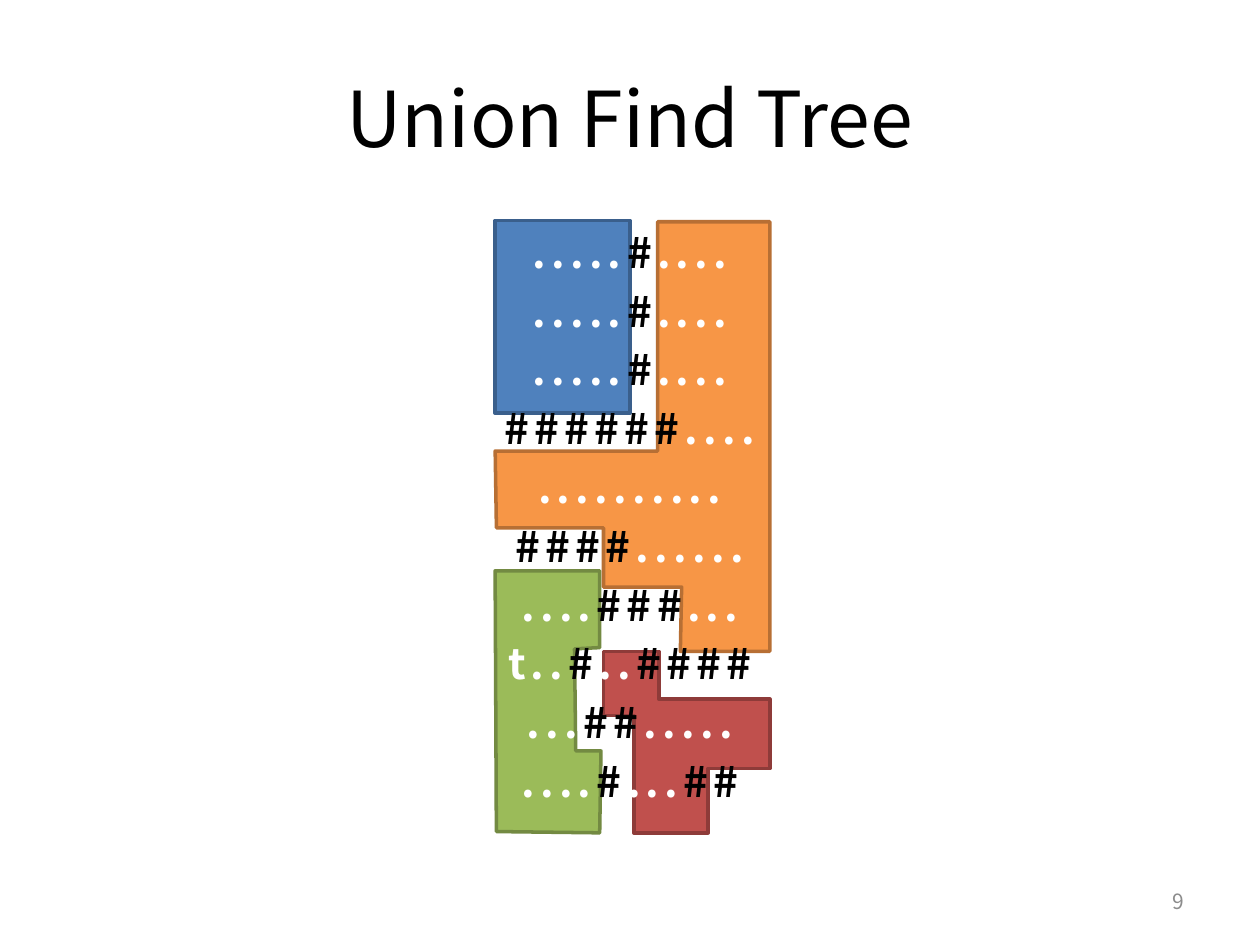
from itertools import groupby

from pptx import Presentation
from pptx.dml.color import RGBColor
from pptx.enum.shapes import MSO_SHAPE as Shape
from pptx.enum.text import MSO_ANCHOR as Anchor, PP_ALIGN as Align
from pptx.util import Inches, Pt

# Content
TITLE = "Union Find Tree"
PAGE_NUMBER = "9"
MAZE_ROWS = [
    ".....#....",
    ".....#....",
    ".....#....",
    "######....",
    "..........",
    "####......",
    "....###...",
    "t..#..####",
    "...##.....",
    "....#...##",
]

FONT = "Noto Sans CJK JP"
BLACK = RGBColor(0x00, 0x00, 0x00)
WHITE = RGBColor(0xFF, 0xFF, 0xFF)
GRAY = RGBColor(0x8C, 0x8C, 0x8C)
GREEN, DARK_GREEN = RGBColor(0x9B, 0xBB, 0x59), RGBColor(0x73, 0x8A, 0x42)
RED, DARK_RED = RGBColor(0xC0, 0x50, 0x4D), RGBColor(0x8E, 0x3B, 0x39)
BLUE, DARK_BLUE = RGBColor(0x4F, 0x81, 0xBD), RGBColor(0x3A, 0x5F, 0x8C)
ORANGE, DARK_ORANGE = RGBColor(0xF7, 0x96, 0x46), RGBColor(0xB7, 0x6F, 0x34)

# Connected regions in inches: corners of the outlines, box of the rectangle
GREEN_CORNERS = [
    (4.76, 5.14), (4.76, 4.53), (3.93, 4.53), (3.94, 6.6), (4.76, 6.61),
    (4.77, 5.96), (4.57, 5.96), (4.56, 5.15)]
RED_CORNERS = [
    (4.79, 5.17), (5.23, 5.17), (5.23, 5.55), (6.11, 5.55), (6.11, 6.1),
    (5.62, 6.1), (5.62, 6.61), (5.03, 6.61), (5.03, 5.68), (4.79, 5.68)]
BLUE_BOX = (3.93, 1.75, 1.07, 1.53)
ORANGE_CORNERS = [
    (3.93, 3.58), (5.22, 3.58), (5.22, 1.76), (6.11, 1.76), (6.11, 5.17),
    (5.4, 5.17), (5.41, 4.66), (4.79, 4.66), (4.79, 4.19), (3.94, 4.19)]


def add_outline(slide, corners):
    points = [(Inches(x), Inches(y)) for x, y in corners]
    builder = slide.shapes.build_freeform(*points[0])
    builder.add_line_segments(points[1:], close=True)
    return builder.convert_to_shape()


def paint(shape, fill, line):
    shape.shadow.inherit = False
    shape.fill.solid()
    shape.fill.fore_color.rgb = fill
    shape.line.color.rgb = line
    shape.line.width = Pt(2)


def add_text_frame(slide, left, top, width, height, anchor):
    box = slide.shapes.add_textbox(*map(Inches, (left, top, width, height)))
    frame = box.text_frame
    frame.word_wrap = True
    frame.vertical_anchor = anchor
    return frame


def add_run(paragraph, text, size, color, bold=False):
    run = paragraph.add_run()
    run.text = text
    run.font.name = FONT
    run.font.size = Pt(size)
    run.font.bold = bold
    run.font.color.rgb = color
    return run


def add_line(slide, place, text, size, color, align):
    paragraph = add_text_frame(slide, *place, Anchor.MIDDLE).paragraphs[0]
    paragraph.alignment = align
    add_run(paragraph, text, size, color)


def add_maze(slide):
    frame = add_text_frame(slide, 0.5, 1.73, 9, 4.97, Anchor.TOP)
    frame.margin_top = 0
    for index, row in enumerate(MAZE_ROWS):
        paragraph = frame.paragraphs[0] if index == 0 else frame.add_paragraph()
        paragraph.alignment = Align.CENTER
        paragraph.line_spacing = Pt(33.6)
        # Walls are black, open cells white
        for is_wall, cells in groupby(row, key=lambda cell: cell == "#"):
            run = add_run(paragraph, "".join(cells), 24,
                          BLACK if is_wall else WHITE, bold=True)
            run.font._element.set("spc", "300")  # letter spacing, 3 pt


def main():
    presentation = Presentation()
    presentation.slide_width = Inches(10)
    presentation.slide_height = Inches(7.5)
    slide = presentation.slides.add_slide(presentation.slide_layouts[6])

    # Regions, back to front
    paint(add_outline(slide, GREEN_CORNERS), GREEN, DARK_GREEN)
    paint(add_outline(slide, RED_CORNERS), RED, DARK_RED)
    blue_box = slide.shapes.add_shape(Shape.RECTANGLE, *map(Inches, BLUE_BOX))
    paint(blue_box, BLUE, DARK_BLUE)
    paint(add_outline(slide, ORANGE_CORNERS), ORANGE, DARK_ORANGE)

    # Texts
    add_line(slide, (0.5, 0.3, 9, 1.25), TITLE, 44, BLACK, Align.CENTER)
    add_line(slide, (7.17, 6.95, 2.33, 0.4), PAGE_NUMBER, 12, GRAY, Align.RIGHT)
    add_maze(slide)

    presentation.save("out.pptx")


if __name__ == "__main__":
    main()
